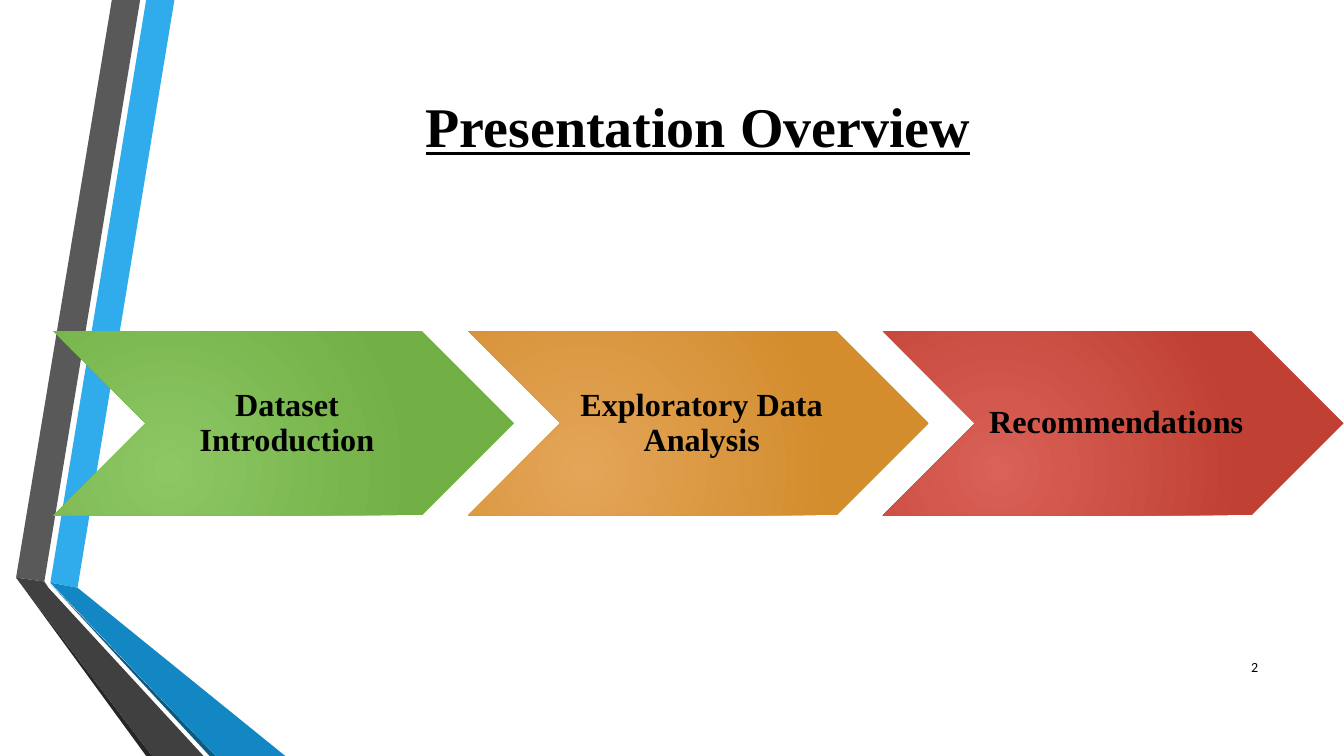
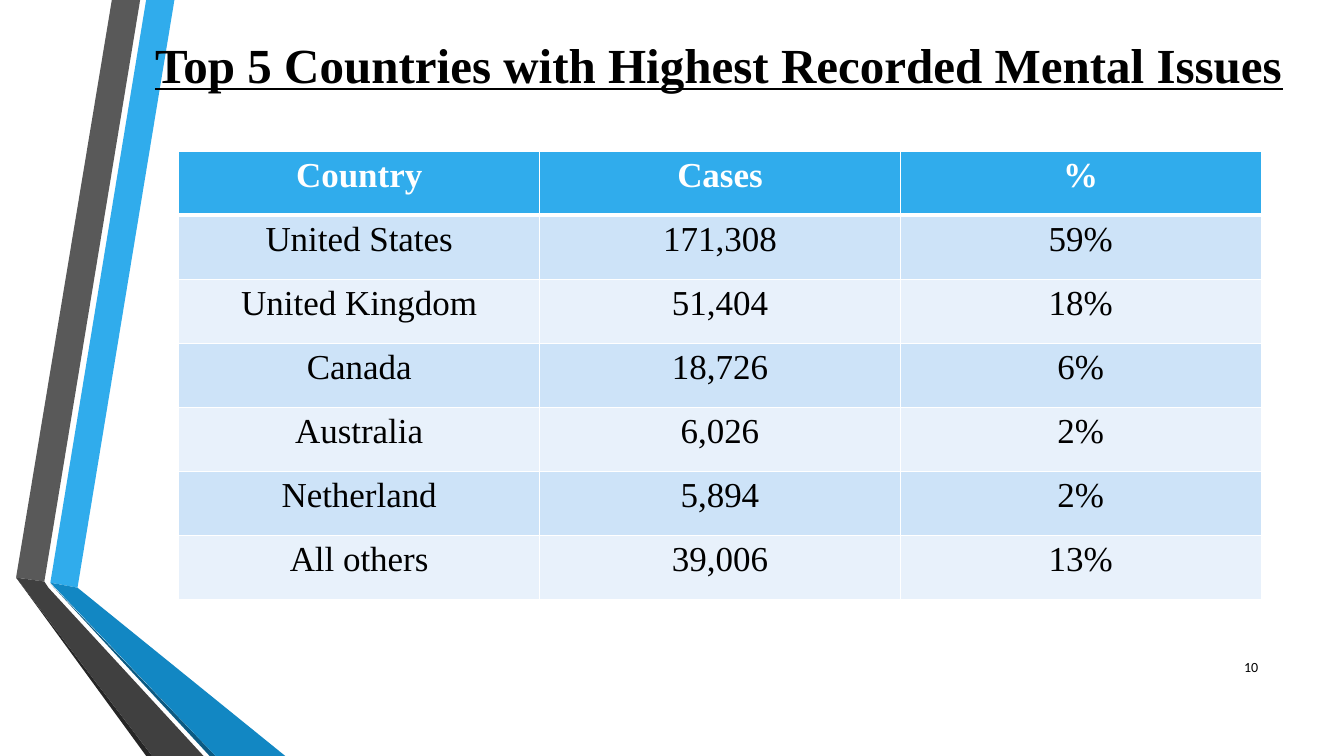
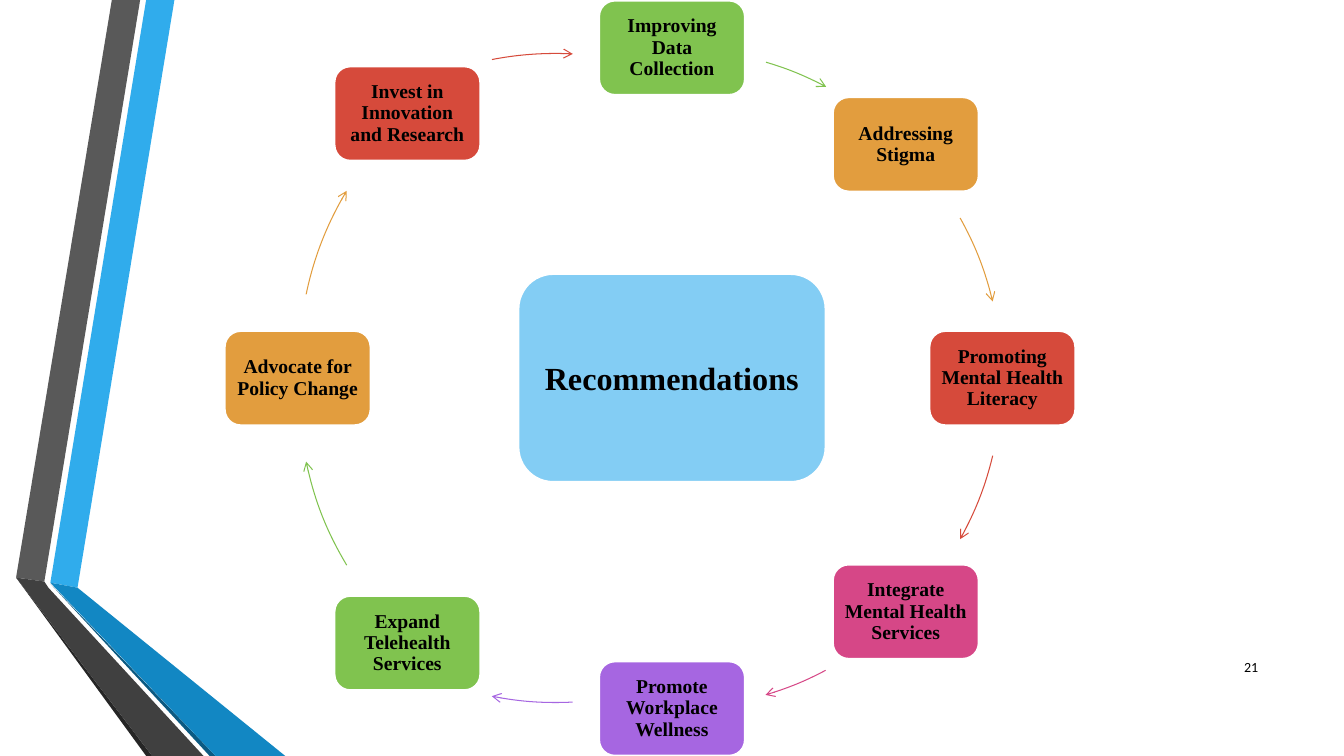
"""Build three slides on mental health data: overview, country table, recommendations."""
from dataclasses import dataclass
from itertools import product

from lxml.etree import SubElement
from pptx import Presentation
from pptx.dml.color import RGBColor
from pptx.enum.shapes import MSO_SHAPE
from pptx.enum.text import MSO_ANCHOR, PP_ALIGN
from pptx.oxml.ns import qn
from pptx.presentation import Presentation as Deck
from pptx.shapes.autoshape import Shape
from pptx.slide import Slide
from pptx.table import _Cell as Cell
from pptx.text.text import TextFrame
from pptx.util import Pt


@dataclass(frozen=True)
class Theme:
    serif: str = "Times New Roman"
    sans: str = "Calibri"
    black: str = "000000"
    white: str = "FFFFFF"
    blue: str = "30ACEC"
    pale_blue: str = "83CDF4"
    row_dark: str = "CDE3F8"
    row_light: str = "E8F1FB"
    green: str = "80C34F"
    orange: str = "E29D3E"
    red: str = "D64A3B"
    pink: str = "D64787"
    purple: str = "A666E1"
    title_size: float = 40
    long_title_size: float = 35
    table_size: float = 25
    step_size: float = 23
    node_size: float = 14
    number_size: float = 10


@dataclass(frozen=True)
class Band:
    color: str
    points: tuple[tuple[float, float], ...]


@dataclass(frozen=True)
class Step:
    text: str
    inner: str
    outer: str


@dataclass(frozen=True)
class Node:
    text: str
    color: str
    left: float
    top: float
    arc_left: float
    arc_top: float
    start: float
    end: float


THEME = Theme()

BANDS = (
    Band(THEME.blue, ((36, 416.2), (55.4, 419.8), (124.6, 0), (104.4, 0))),
    Band("595959", ((100.1, 0), (79.9, 0), (11.5, 412.6), (31.7, 415.4))),
    Band("262626", ((11.5, 412.6), (104.4, 540), (108.7, 540))),
    Band("0C5A82", ((36, 416.9), (149.8, 540), (154.1, 540))),
    Band("1287C3", ((36, 416.2), (154.1, 540), (203.8, 540), (55.4, 419.8))),
    Band("404040", ((145.4, 540), (34.6, 419.8), (31.7, 415.4), (11.5, 412.6), (108.7, 540))),
)

STEPS = (
    Step("Dataset Introduction", "8CC764", "72AF45"),
    Step("Exploratory Data Analysis", "E4A559", "D38D2D"),
    Step("Recommendations", "D96157", "C04033"),
)

COUNTRIES = (
    ("Country", "Cases", "%"),
    ("United States", "171,308", "59%"),
    ("United Kingdom", "51,404", "18%"),
    ("Canada", "18,726", "6%"),
    ("Australia", "6,026", "2%"),
    ("Netherland", "5,894", "2%"),
    ("All others", "39,006", "13%"),
)

NODES = (
    Node("Improving Data Collection", THEME.green, 428, 0.5, 244, 34.6, 286.6, 297.9),
    Node("Addressing Stigma", THEME.orange, 595, 69.5, 244, 34.6, 330.9, 346.5),
    Node("Promoting Mental Health Literacy", THEME.red, 664, 236.5, 244, 34.6, 13.5, 29.1),
    Node("Integrate Mental Health Services", THEME.pink, 595, 403.3, 243.6, 34.6, 62.1, 73.4),
    Node("Promote Workplace Wellness", THEME.purple, 428, 472.5, 161.3, 30.2, 87.1, 101.2),
    Node("Expand Telehealth Services", THEME.green, 239, 425.7, 213.8, 46.1, 148.9, 168.3),
    Node("Advocate for Policy Change", THEME.orange, 160.6, 236.5, 213.8, 22.3, 191.7, 211.1),
    Node("Invest in Innovation and Research", THEME.red, 239, 47.5, 160.6, 38.2, 259, 273.1),
)


def write(frame: TextFrame, text: str, *, size: float, font: str = THEME.serif,
          color: str = THEME.black, bold: bool = True, underline: bool = False,
          align: PP_ALIGN = PP_ALIGN.CENTER, spacing: float = 1.0) -> None:
    """Set one formatted paragraph in a text frame."""
    para = frame.paragraphs[0]
    para.alignment = align
    para.line_spacing = spacing
    span = para.add_run()
    span.text = text
    span.font.name = font
    span.font.size = Pt(size)
    span.font.bold = bold
    span.font.underline = underline
    span.font.color.rgb = RGBColor.from_string(color)


def set_frame(frame: TextFrame, left: float = 7.2, top: float = 3.6,
              right: float = 7.2, bottom: float = 3.6) -> None:
    """Wrap and centre a text frame vertically, with the given margins."""
    frame.word_wrap = True
    frame.vertical_anchor = MSO_ANCHOR.MIDDLE
    frame.margin_left, frame.margin_top = Pt(left), Pt(top)
    frame.margin_right, frame.margin_bottom = Pt(right), Pt(bottom)


def paint(shape: Shape, color: str) -> None:
    """Give a shape a flat fill without shadow or outline."""
    shape.shadow.inherit = False
    shape.fill.solid()
    shape.fill.fore_color.rgb = RGBColor.from_string(color)
    shape.line.fill.background()


def add_box(page: Slide, kind: MSO_SHAPE, left: float, top: float,
            width: float, height: float, color: str) -> Shape:
    """Add a painted preset shape."""
    box = page.shapes.add_shape(kind, Pt(left), Pt(top), Pt(width), Pt(height))
    paint(box, color)
    return box


def add_card(page: Slide, left: float, top: float, width: float, height: float,
             color: str) -> Shape:
    """Add a rounded box with a white outline."""
    card = add_box(page, MSO_SHAPE.ROUNDED_RECTANGLE, left, top, width, height, color)
    card.line.color.rgb = RGBColor.from_string(THEME.white)
    card.line.width = Pt(1.25)
    return card


def add_bands(deck: Deck, page: Slide) -> None:
    """Draw the side bands and move them to the master behind its placeholders."""
    tree = deck.slide_master.shapes._spTree
    for position, band in enumerate(BANDS, start=2):
        (left, top), *others = [(Pt(x), Pt(y)) for x, y in band.points]
        builder = page.shapes.build_freeform(left, top)
        builder.add_line_segments(others, close=True)
        shape = builder.convert_to_shape()
        paint(shape, band.color)
        tree.insert(position, shape._element)


def add_title(page: Slide, text: str, size: float, left: float, top: float,
              width: float, height: float) -> None:
    """Place and format the title placeholder."""
    title = page.shapes.title
    title.left, title.top, title.width, title.height = Pt(left), Pt(top), Pt(width), Pt(height)
    set_frame(title.text_frame)
    write(title.text_frame, text, size=size, underline=True)


def add_number(page: Slide, number: int) -> None:
    """Add the page number at the lower right."""
    box = page.shapes.add_textbox(Pt(862.6), Pt(462.2), Pt(43.2), Pt(28.8))
    set_frame(box.text_frame)
    write(box.text_frame, str(number), size=THEME.number_size, font=THEME.sans,
          bold=False, align=PP_ALIGN.RIGHT)


def add_step(page: Slide, index: int, step: Step) -> None:
    """Add one chevron with a radial gradient."""
    chevron = add_box(page, MSO_SHAPE.CHEVRON, 38.2 + 296.2 * index, 236.5, 329.1, 131.7,
                      step.outer)
    chevron.fill.gradient()
    for stop, color in zip(chevron.fill.gradient_stops, (step.inner, step.outer)):
        stop.color.rgb = RGBColor.from_string(color)
    gradient = chevron._element.spPr.find(qn("a:gradFill"))
    gradient.remove(gradient.find(qn("a:lin")))
    radial = SubElement(gradient, qn("a:path"), {"path": "circle"})
    SubElement(radial, qn("a:fillToRect"), l="50000", t="100000", r="100000", b="50000")
    set_frame(chevron.text_frame, 7.2, 2.4, 2.4, 2.4)
    write(chevron.text_frame, step.text, size=THEME.step_size, spacing=0.9)


def set_borders(cell: Cell, top: float, bottom: float) -> None:
    """Give a cell white borders."""
    widths = {"a:lnL": 1, "a:lnR": 1, "a:lnT": top, "a:lnB": bottom}
    properties = cell._tc.get_or_add_tcPr()
    for position, (side, width) in enumerate(widths.items()):
        line = SubElement(properties, qn(side), w=str(Pt(width)))
        fill = SubElement(line, qn("a:solidFill"))
        SubElement(fill, qn("a:srgbClr"), val=THEME.white)
        properties.insert(position, line)


def add_countries(page: Slide) -> None:
    """Add the table of cases by country."""
    rows, columns = len(COUNTRIES), len(COUNTRIES[0])
    table = page.shapes.add_table(rows, columns, Pt(127.7), Pt(107.8), Pt(773.1),
                                  Pt(45.8 * rows)).table
    for row, column in product(range(rows), range(columns)):
        header = row == 0
        cell = table.cell(row, column)
        cell.fill.solid()
        color = THEME.blue if header else THEME.row_dark if row % 2 else THEME.row_light
        cell.fill.fore_color.rgb = RGBColor.from_string(color)
        set_borders(cell, top=3 if row == 1 else 1, bottom=3 if header else 1)
        write(cell.text_frame, COUNTRIES[row][column], size=THEME.table_size, bold=header,
              color=THEME.white if header else THEME.black)


def add_node(page: Slide, node: Node) -> None:
    """Add one recommendation and the curved arrow that leaves it."""
    card = add_card(page, node.left, node.top, 104, 67.2, node.color)
    set_frame(card.text_frame, 4.2, 4.2, 4.2, 4.2)
    write(card.text_frame, node.text, size=THEME.node_size, spacing=0.9)
    arc = page.shapes.add_shape(MSO_SHAPE.ARC, Pt(node.arc_left), Pt(node.arc_top),
                                Pt(471.6), Pt(471.6))
    arc.shadow.inherit = False
    arc.fill.background()
    arc.adjustments[0], arc.adjustments[1] = node.start * 0.6, node.end * 0.6
    arc.line.color.rgb = RGBColor.from_string(node.color)
    arc.line.width = Pt(0.75)
    SubElement(arc.line._get_or_add_ln(), qn("a:tailEnd"), type="arrow")


def main() -> None:
    """Build and save the deck."""
    deck = Presentation()
    deck.slide_width, deck.slide_height = Pt(960), Pt(540)
    title_only, blank = deck.slide_layouts[5], deck.slide_layouts[6]

    overview = deck.slides.add_slide(title_only)
    add_bands(deck, overview)
    for index, step in enumerate(STEPS):
        add_step(overview, index, step)
    add_title(overview, "Presentation Overview", THEME.title_size, 87.8, 39.6, 821.5, 99.4)
    add_number(overview, 2)

    countries = deck.slides.add_slide(title_only)
    add_title(countries, "Top 5 Countries with Highest Recorded Mental Issues",
              THEME.long_title_size, 90.7, 13.7, 846, 64.1)
    add_countries(countries)
    add_number(countries, 10)

    recommendations = deck.slides.add_slide(blank)
    for node in NODES:
        add_node(recommendations, node)
    center = add_card(recommendations, 370.4, 195.8, 219.2, 148.4, THEME.pale_blue)
    set_frame(center.text_frame)
    write(center.text_frame, "Recommendations", size=THEME.step_size)
    add_number(recommendations, 21)

    deck.save("out.pptx")


if __name__ == "__main__":
    main()
